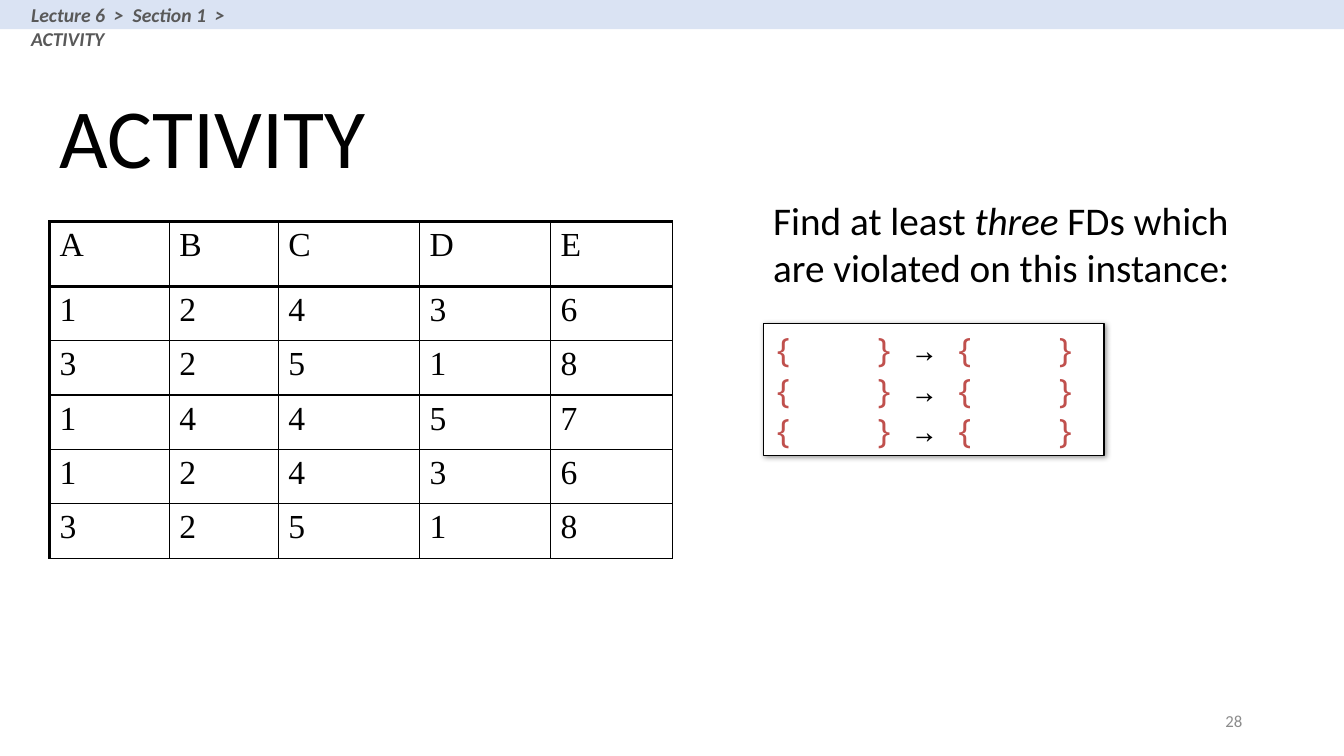
from lxml import etree
from pptx import Presentation
from pptx.dml.color import RGBColor
from pptx.enum.shapes import MSO_SHAPE
from pptx.enum.text import MSO_ANCHOR, PP_ALIGN
from pptx.oxml.ns import qn
from pptx.util import Pt

PX = 9144
RECTANGLE = MSO_SHAPE.RECTANGLE
TOP, MIDDLE, BOTTOM = MSO_ANCHOR.TOP, MSO_ANCHOR.MIDDLE, MSO_ANCHOR.BOTTOM
LEFT, RIGHT = PP_ALIGN.LEFT, PP_ALIGN.RIGHT
COLORS = {
    "ink": "000000",
    "paper": "FFFFFF",
    "bar": "DAE3F3",
    "crumb": "595959",
    "number": "8C8C8C",
    "brace": "C0504D",
}
FORMATS = {
    "title": {"name": "Calibri", "size": Pt(60), "color": "ink"},
    "number": {"name": "Calibri", "size": Pt(12), "color": "number"},
    "crumb": {"name": "Calibri", "size": Pt(14), "bold": True, "italic": True, "color": "crumb"},
    "prompt": {"name": "Calibri", "size": Pt(28), "color": "ink"},
    "stress": {"name": "Calibri", "size": Pt(28), "italic": True, "color": "ink"},
    "cell": {"name": "Times New Roman", "size": Pt(24), "color": "ink"},
    "brace": {"name": "Noto Sans Mono", "size": Pt(24), "color": "brace"},
    "arrow": {"name": "Noto Sans Mono", "size": Pt(24), "color": "ink"},
}
COLUMN_WIDTHS = [119, 108, 140, 130, 121]
ROW_HEIGHTS = [64, 54, 54, 54, 54, 54]
INSTANCE = ["ABCDE", "12436", "32518", "14457", "12436", "32518"]
CHARACTER = 20
TAB_COLUMNS = [5, 7, 9, 14]
THIN, THICK = Pt(1), Pt(2.25)


def color(name):
    return RGBColor.from_string(COLORS[name])


def scaled(box):
    return [length * PX for length in box]


def write(para, spans):
    for text, style in spans:
        span = para.add_run()
        span.text = text
        for key, value in FORMATS[style].items():
            if key == "color":
                span.font.color.rgb = color(value)
            else:
                setattr(span.font, key, value)


def add_text(page, box, spans, anchor=TOP, align=LEFT, spacing=1.0):
    frame = page.shapes.add_textbox(*scaled(box)).text_frame
    frame.word_wrap = True
    frame.vertical_anchor = anchor
    para = frame.paragraphs[0]
    para.alignment = align
    para.line_spacing = spacing
    write(para, spans)


def add_rectangle(page, box, fill):
    shape = page.shapes.add_shape(RECTANGLE, *scaled(box))
    shape.shadow.inherit = False
    shape.fill.solid()
    shape.fill.fore_color.rgb = color(fill)
    shape.line.fill.background()
    return shape


def add_child(parent, tag, **attributes):
    values = {key: str(value) for key, value in attributes.items()}
    return etree.SubElement(parent, qn(tag), values)


def add_breadcrumb(page, box):
    left, top, width, height = box
    add_rectangle(page, box, "bar")
    add_text(page, (left + 21, top - 2, 280, height + 5),
             [("Lecture 6  >  Section 1  >  ACTIVITY", "crumb")])


def add_borders(cell, row, column):
    widths = {
        "a:lnL": THICK if column == 0 else THIN,
        "a:lnR": THIN,
        "a:lnT": THICK if row <= 1 else THIN,
        "a:lnB": THICK if row == 0 else THIN,
    }
    properties = cell._tc.get_or_add_tcPr()
    for tag, width in widths.items():
        fill = add_child(add_child(properties, tag, w=width), "a:solidFill")
        add_child(fill, "a:srgbClr", val=COLORS["ink"])
    cell.fill.background()


def add_instance(page, box):
    frame = page.shapes.add_table(len(INSTANCE), len(COLUMN_WIDTHS), *scaled(box))
    table = frame.table
    table.first_row = table.horz_banding = False
    for column, width in zip(table.columns, COLUMN_WIDTHS):
        column.width = width * PX
    for row, height in zip(table.rows, ROW_HEIGHTS):
        row.height = height * PX
    for row, values in enumerate(INSTANCE):
        for column, value in enumerate(values):
            cell = table.cell(row, column)
            write(cell.text_frame.paragraphs[0], [(value, "cell")])
            add_borders(cell, row, column)


def add_shadow(shape):
    effects = shape._element.spPr.find(qn("a:effectLst"))
    shadow = add_child(effects, "a:outerShdw", blurRad=Pt(4), dist=Pt(1), dir=45 * 60000)
    shade = add_child(shadow, "a:srgbClr", val=COLORS["ink"])
    add_child(shade, "a:alpha", val=40000)


def add_answers(page, box):
    shape = add_rectangle(page, box, "paper")
    shape.line.color.rgb = color("ink")
    shape.line.width = Pt(0.75)
    add_shadow(shape)
    frame = shape.text_frame
    frame.word_wrap = True
    frame.vertical_anchor = MIDDLE
    for index in range(3):
        para = frame.add_paragraph() if index else frame.paragraphs[0]
        para.alignment = LEFT
        tabs = add_child(para._p.get_or_add_pPr(), "a:tabLst")
        for column in TAB_COLUMNS:
            add_child(tabs, "a:tab", pos=column * CHARACTER * PX, algn="l")
        write(para, [("{\t}\t", "brace"), ("→\t", "arrow"), ("{\t}", "brace")])


def add_exercise(page, box):
    left, top, width, height = box
    add_text(page, (left, top, width, 104), [
        ("Find at least ", "prompt"),
        ("three", "stress"),
        (" FDs which are violated on this instance:", "prompt"),
    ])
    add_answers(page, (left, top + 131, 338, height - 131))


def build_activity(page, box):
    left, top, width, height = box
    add_text(page, (left + 49, top + 77, 1150, 113), [("ACTIVITY", "title")], BOTTOM, spacing=0.9)
    add_text(page, (left + 942, top + 695, 300, 40), [("28", "number")], MIDDLE, RIGHT)
    add_breadcrumb(page, (left, top, width, 29))
    add_instance(page, (left + 49, top + 220, sum(COLUMN_WIDTHS), sum(ROW_HEIGHTS)))
    add_exercise(page, (left + 757, top + 190, 506, 262))


def main():
    deck = Presentation()
    deck.slide_width, deck.slide_height = 1333 * PX, 750 * PX
    page = deck.slides.add_slide(deck.slide_layouts[6])
    build_activity(page, (0, 0, 1333, 750))
    deck.save("out.pptx")


if __name__ == "__main__":
    main()
